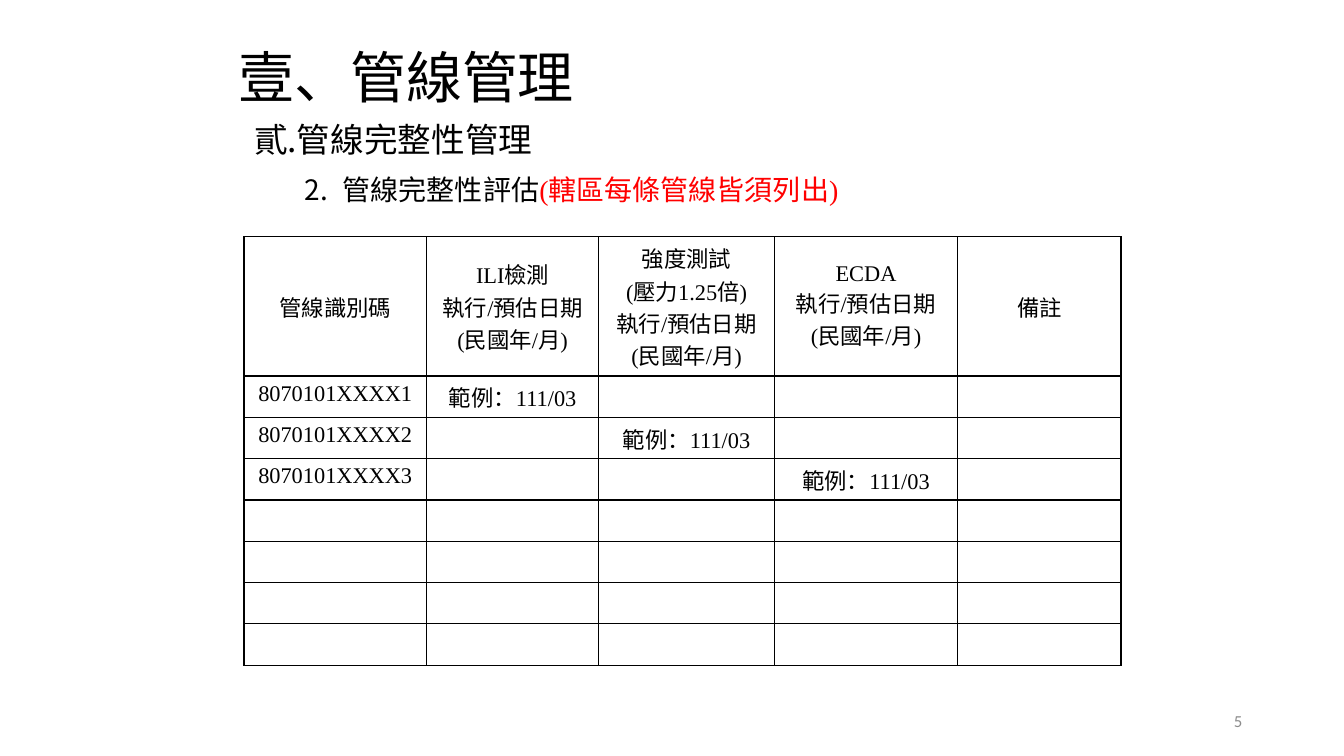
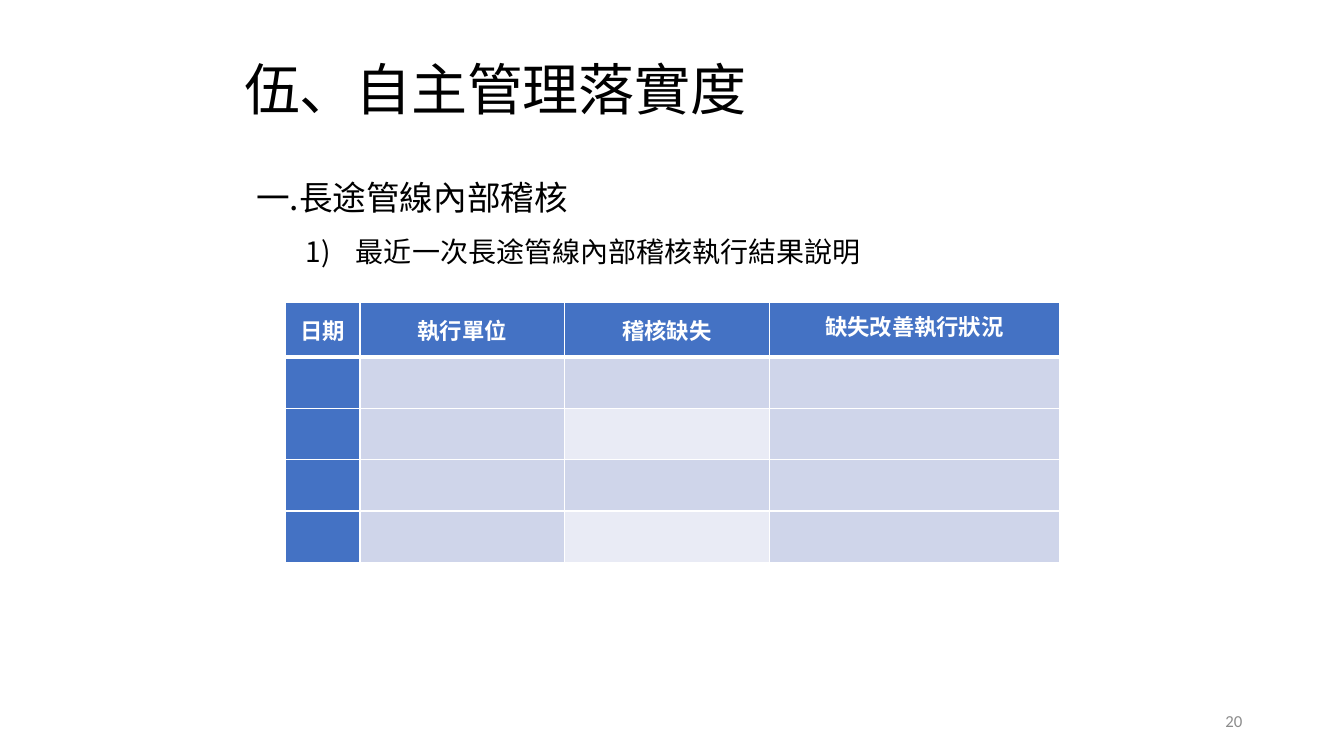
"""Build two slides on pipeline management with one table each."""
from lxml import etree
from pptx import Presentation
from pptx.dml.color import RGBColor
from pptx.enum import text
from pptx.oxml.ns import qn
from pptx.util import Inches, Pt

SERIF, SANS, FOOTER = "Times New Roman", "Noto Sans CJK SC", "Calibri"
BLACK, WHITE, RED, GREY = "000000", "FFFFFF", "FF0000", "8C8C8C"
BLUE, BAND, PALE = "4472C4", "CFD5EA", "E9EBF5"
LEFT, CENTER, RIGHT = text.PP_ALIGN.LEFT, text.PP_ALIGN.CENTER, text.PP_ALIGN.RIGHT
TOP, MIDDLE = text.MSO_ANCHOR.TOP, text.MSO_ANCHOR.MIDDLE


def color(value):
    """Turn a hex string into a colour."""
    return RGBColor.from_string(value)


class Deck:
    """Hold the shared style and the current slide."""

    def __init__(self):
        """Start an empty widescreen presentation."""
        self.show = Presentation()
        self.show.slide_width, self.show.slide_height = Inches(13.33), Inches(7.5)

    def place(self, shape, box):
        """Move a shape to left, top, width, height."""
        shape.left, shape.top, shape.width, shape.height = map(Inches, box)

    def style(self, paragraph, size, face, tint=BLACK, align=LEFT, bold=False, spacing=None):
        """Set the font and alignment of a whole paragraph."""
        paragraph.alignment = align
        font = paragraph.font
        font.size, font.name, font.bold = Pt(size), face, bold
        font.color.rgb = color(tint)
        defaults = paragraph._p.pPr.find(qn("a:defRPr"))
        etree.SubElement(defaults, qn("a:ea")).set("typeface", SANS)
        if spacing is not None:
            defaults.set("spc", str(spacing))

    def bullet(self, paragraph, numbering, start=1, margin=0, hanging=0):
        """Number a styled paragraph, or clear its bullet."""
        properties = paragraph._p.pPr
        defaults = properties.find(qn("a:defRPr"))
        properties.set("marL", str(Inches(margin)))
        properties.set("indent", str(-Inches(hanging)))
        if numbering is None:
            defaults.addprevious(etree.Element(qn("a:buNone")))
            return
        defaults.addprevious(etree.Element(qn("a:buFont"), typeface=SANS))
        defaults.addprevious(
            etree.Element(qn("a:buAutoNum"), type=numbering, startAt=str(start)))

    def slide(self, heading, box, face, number):
        """Add a slide with its title and page number."""
        self.current = self.show.slides.add_slide(self.show.slide_layouts[1])
        title = self.current.shapes.title
        self.place(title, box)
        frame = title.text_frame
        frame.text = heading
        frame.vertical_anchor = MIDDLE
        frame.auto_size = text.MSO_AUTO_SIZE.NONE
        frame.margin_left = frame.margin_right = frame.margin_top = frame.margin_bottom = 0
        frame.paragraphs[0].line_spacing = 0.9
        self.style(frame.paragraphs[0], 40, face, spacing=-10)

        page = self.current.shapes.add_textbox(
            Inches(9.42), Inches(6.95), Inches(3), Inches(0.4)).text_frame
        page.word_wrap = True
        page.vertical_anchor = MIDDLE
        page.text = number
        self.style(page.paragraphs[0], 12, FOOTER, GREY, RIGHT)

    def outline(self, box, face, items, line_spacing, anchor=TOP):
        """Fill the body with (runs, level, size, space before, numbering) items."""
        body = self.current.placeholders[1]
        self.place(body, box)
        frame = body.text_frame
        frame.vertical_anchor = anchor
        frame.auto_size = text.MSO_AUTO_SIZE.NONE
        for index, (runs, level, size, before, numbering) in enumerate(items):
            paragraph = frame.add_paragraph() if index else frame.paragraphs[0]
            paragraph.level = level
            paragraph.line_spacing = line_spacing
            paragraph.space_before = Pt(before)
            self.style(paragraph, size, face)
            self.bullet(paragraph, *numbering)
            for words, tint in runs:
                run = paragraph.add_run()
                run.text = words
                if tint != BLACK:
                    run.font.color.rgb = color(tint)

    def borders(self, cell, tint, bottom=1):
        """Draw the four borders of a cell."""
        properties = cell._tc.get_or_add_tcPr()
        widths = {"a:lnL": 1, "a:lnR": 1, "a:lnT": 1, "a:lnB": bottom}
        for index, (side, width) in enumerate(widths.items()):
            line = etree.Element(qn(side), w=str(Pt(width)))
            fill = etree.SubElement(line, qn("a:solidFill"))
            etree.SubElement(fill, qn("a:srgbClr")).set("val", tint)
            properties.insert(index, line)

    def table(self, corner, widths, heights, rows, face, line, fill_of,
              head_tint=BLACK, head_bold=False, head_bottom=1, margins=None):
        """Add a table whose first row is its header."""
        left, top = corner
        grid = self.current.shapes.add_table(
            len(heights), len(widths), Inches(left), Inches(top),
            Inches(sum(widths)), Inches(sum(heights))).table
        grid.first_row = grid.horz_banding = False
        for column, width in zip(grid.columns, widths):
            column.width = Inches(width)
        for row, height in zip(grid.rows, heights):
            row.height = Inches(height)
        for r in range(len(heights)):
            for c in range(len(widths)):
                cell, head = grid.cell(r, c), r == 0
                cell.text = rows[r].get(c, "") if r < len(rows) else ""
                cell.vertical_anchor = MIDDLE if head else TOP
                if head and margins:
                    cell.margin_left = cell.margin_right = Inches(margins[0])
                    cell.margin_top = cell.margin_bottom = Inches(margins[1])
                for paragraph in cell.text_frame.paragraphs:
                    self.style(paragraph, 16, face, head_tint if head else BLACK,
                               CENTER, head and head_bold)
                fill = fill_of(r, c)
                if fill:
                    cell.fill.solid()
                    cell.fill.fore_color.rgb = color(fill)
                else:
                    cell.fill.background()
                self.borders(cell, line, head_bottom if head else 1)
        return grid


def audit_fill(row, column):
    """Give the fill of a cell in the audit table."""
    if row == 0 or column == 0:
        return BLUE
    return PALE if column == 2 and row % 2 == 0 else BAND


def main():
    """Build and save both slides."""
    deck = Deck()

    deck.slide("壹、管線管理", (2.37, 0.49, 8.62, 0.61), SERIF, "5")
    deck.outline((2.42, 1.17, 8.32, 1.08), SERIF, [
        ([("管線完整性管理", BLACK)], 0, 24, 10, ("ea1ChtPeriod", 2, 0.25, 0.25)),
        ([("管線完整性評估", BLACK), ("(轄區每條管線皆須列出)", RED)], 1, 20, 12,
         ("arabicPeriod", 2, 0.88, 0.38)),
    ], 0.9)
    dates = "執行/預估日期\n(民國年/月)"
    example = "範例：111/03"
    headings = ["管線識別碼", f"ILI檢測\n{dates}", f"強度測試\n(壓力1.25倍)\n{dates}",
                f"ECDA\n{dates}", "備註"]
    pipelines = [{0: f"8070101XXXX{n}", n: example} for n in (1, 2, 3)]
    deck.table((2.42, 2.35), [1.81, 1.71, 1.74, 1.82, 1.62], [1.38] + [0.41] * 7,
               [dict(enumerate(headings))] + pipelines, SERIF, BLACK,
               lambda row, column: None)

    deck.slide("伍、自主管理落實度", (2.42, 0.61, 7.63, 0.61), SANS, "20")
    deck.outline((2.44, 1.53, 8.25, 1.15), SANS, [
        ([("一.長途管線內部稽核", BLACK)], 0, 24, 0, (None,)),
        ([("最近一次長途管線內部稽核執行結果說明", BLACK)], 0, 20, 0,
         ("arabicParenR", 1, 0.99, 0.5)),
    ], 1.5, MIDDLE)
    headings = ["日期", "執行單位", "稽核缺失", "缺失改善執行狀況"]
    audit = deck.table((2.83, 3), [0.74, 2.03, 2.03, 2.88], [0.54] + [0.51] * 4,
                       [dict(enumerate(headings))], SANS, WHITE, audit_fill,
                       WHITE, True, 3, (0.07, 0))
    audit.cell(0, 3).text_frame.paragraphs[0].line_spacing = Pt(18)

    deck.show.save("out.pptx")


if __name__ == "__main__":
    main()
